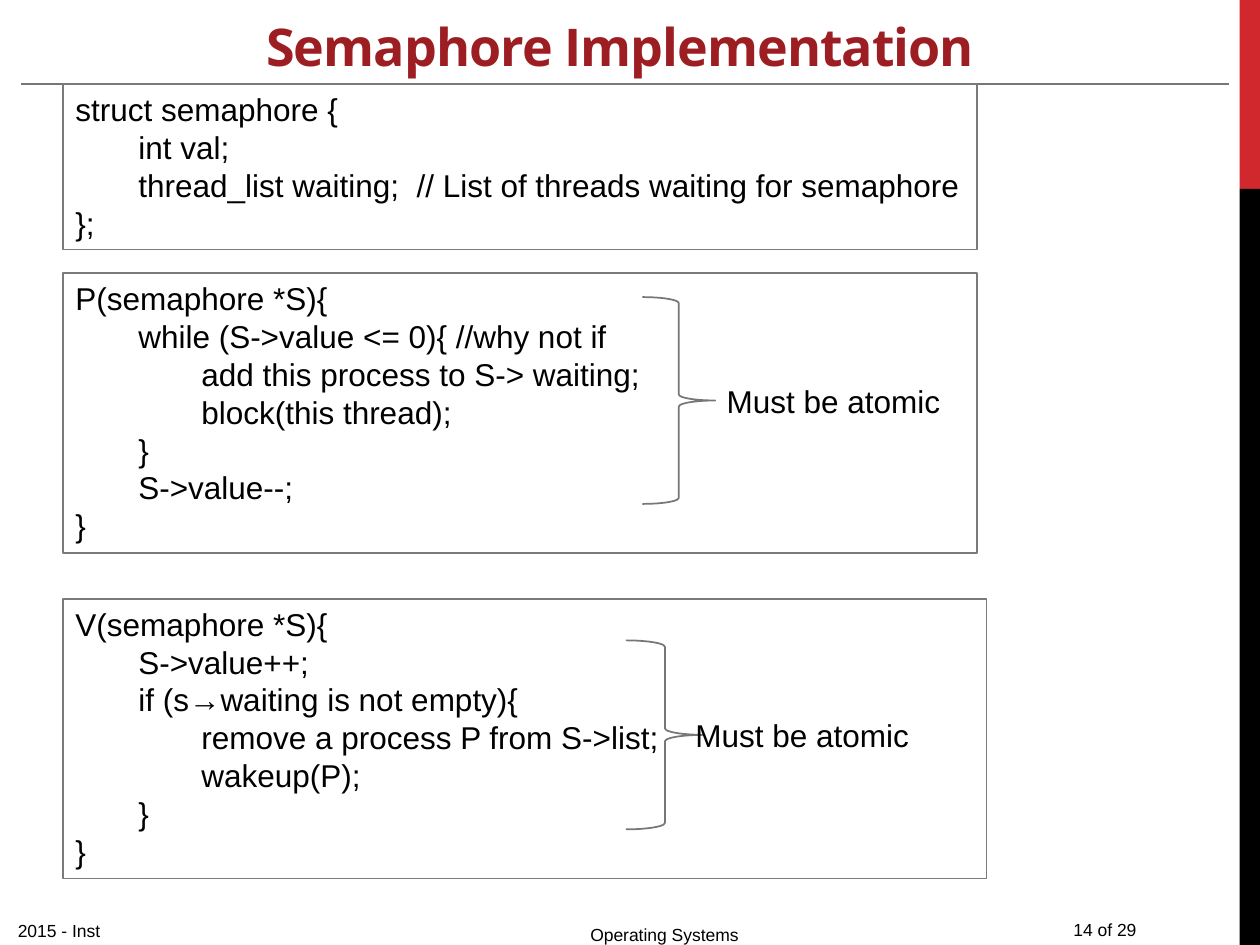
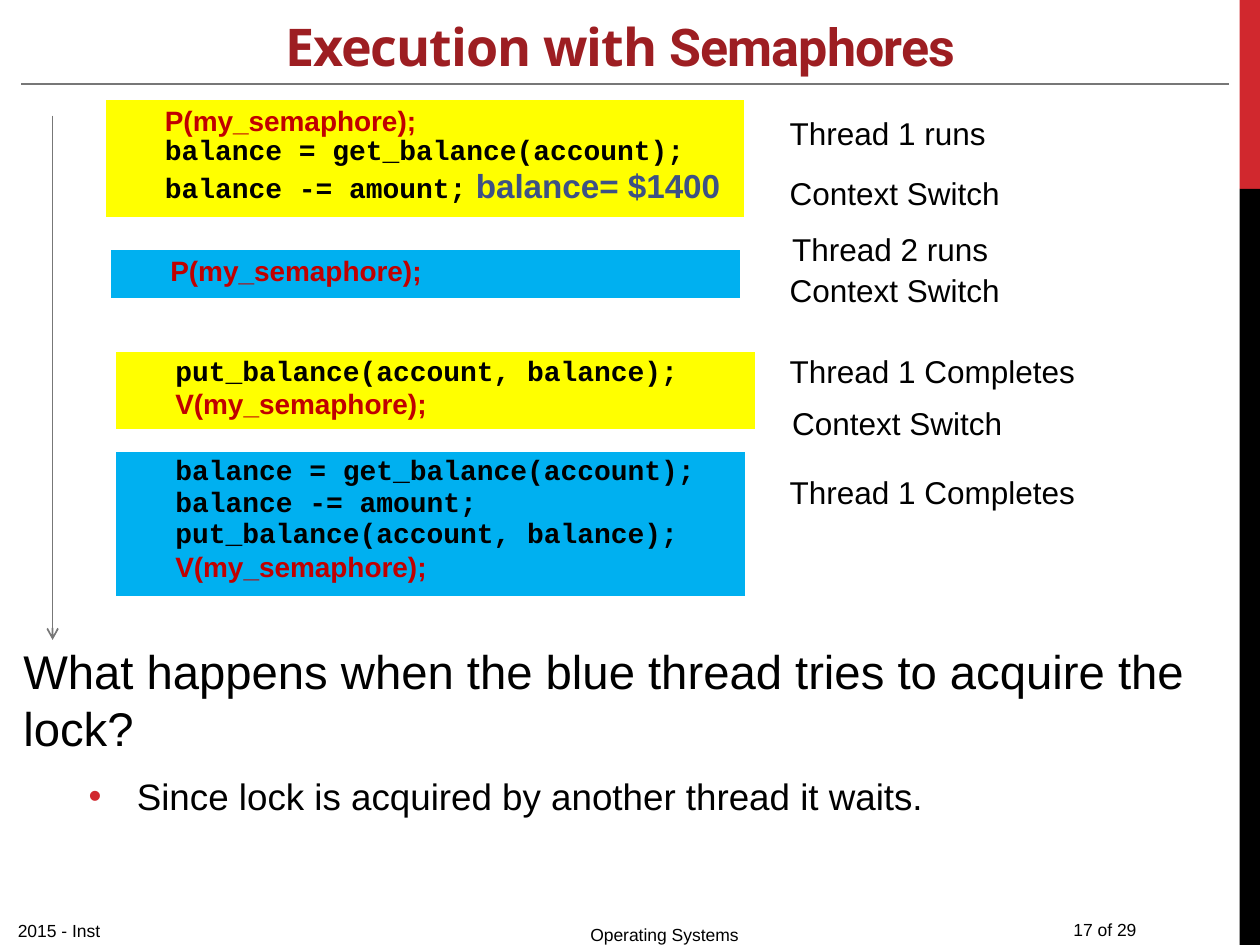
from lxml.etree import SubElement
from pptx import Presentation
from pptx.dml.color import RGBColor as Rgb
from pptx.enum.shapes import MSO_CONNECTOR as Link, MSO_SHAPE as Shape
from pptx.enum.text import MSO_ANCHOR as Anchor, PP_ALIGN as Align
from pptx.oxml import parse_xml
from pptx.oxml.ns import nsdecls, qn
from pptx.util import Cm, Pt

HUES = {"red": "D1282E", "black": "000000", "title": "9D1E22", "rule": "777777",
        "edge": "7A7A7A", "lock": "C00000", "sum": "3D5185", "white": "FFFFFF",
        "one": "FFFF00", "two": "00B0F0"}

# font, size, colour, bold
STYLES = {"title": ("Open Sans", 29.7, "title", True),
          "alt": ("Roboto", 29.7, "title", True),
          "foot": ("Arial", 10, "black", False),
          "plain": ("Arial", 18, "black", False),
          "ask": ("Arial", 27, "black", False),
          "reply": ("Arial", 21, "black", False),
          "lock": ("Arial", 16, "lock", True),
          "code": ("Courier New", 16, "black", True),
          "gap": ("Arial", 19, "white", False),
          "sum": ("Arial", 19, "sum", True)}

STEP = 1.27   # one level of code indent
ROW = 1.03    # least height of a thread's row, which grows with its text
PAGES = 29


def hue(name):
    return Rgb.from_string(HUES[name])


def fill(frame, paras):
    """Write paragraphs, each a list of (text, style) runs."""
    for i, runs in enumerate(paras):
        para = frame.paragraphs[0] if i == 0 else frame.add_paragraph()
        for words, style in runs:
            run = para.add_run()
            run.text = words
            font = run.font
            font.name, size, tone, font.bold = STYLES[style]
            font.size = Pt(size)
            font.color.rgb = hue(tone)
    return frame.paragraphs


def indent(para, left, first=0):
    props = para._p.get_or_add_pPr()
    props.set("marL", str(Cm(left)))
    props.set("indent", str(Cm(first)))
    return props


def text(slide, box, paras, anchor=Anchor.TOP):
    frame = slide.shapes.add_textbox(*map(Cm, box)).text_frame
    frame.word_wrap = True
    frame.vertical_anchor = anchor
    return fill(frame, paras)


def shape(slide, kind, box, tone=None, edge=None):
    item = slide.shapes.add_shape(kind, *map(Cm, box))
    item.shadow.inherit = False
    if tone:
        item.fill.solid()
        item.fill.fore_color.rgb = hue(tone)
    else:
        item.fill.background()
    if edge:
        item.line.color.rgb = hue(edge)
        item.line.width = Pt(1)
    else:
        item.line.fill.background()
    return item


def rule(slide, ends, arrow=False):
    line = slide.shapes.add_connector(Link.STRAIGHT, *map(Cm, ends))
    line.line.color.rgb = hue("rule")
    line.line.width = Pt(1)
    if arrow:
        SubElement(line.line._get_or_add_ln(), qn("a:tailEnd"), type="arrow")
    SubElement(line._element.spPr, qn("a:effectLst"))


def base(deck, title, page):
    """Add a slide with the side band, title, rule and footers."""
    slide = deck.slides.add_slide(deck.slide_layouts[6])
    shape(slide, Shape.RECTANGLE, (24.99, 0, 0.41, 3.81), "red")
    shape(slide, Shape.RECTANGLE, (24.99, 3.81, 0.41, 15.24), "black")
    rule(slide, (0.43, 1.7, 24.77, 1.7))
    head, = text(slide, (0.22, 0.41, 24.56, 1.27), [title], Anchor.BOTTOM)
    head.alignment = Align.CENTER
    for run in head.runs:
        run.font._element.set("spc", "-60")
    text(slide, (0.11, 18.42, 9.53, 0.64), [[("2015 - Inst", "foot")]])
    mid, = text(slide, (11.65, 18.42, 9.53, 0.64),
                [[("Operating Systems", "foot")]], Anchor.BOTTOM)
    mid._parent.margin_bottom = 0
    text(slide, (21.39, 18.42, 3.66, 0.64),
         [[(f"{page} of {PAGES}", "foot")]], Anchor.MIDDLE)
    return slide


def listing(slide, box, lines):
    """Draw a framed listing of (depth, text) lines."""
    frame = shape(slide, Shape.RECTANGLE, box, edge="edge").text_frame
    frame.word_wrap = True
    frame.vertical_anchor = Anchor.TOP
    paras = fill(frame, [[(words, "plain")] for _, words in lines])
    for para, (depth, _) in zip(paras, lines):
        para.alignment = Align.LEFT
        para.level = depth
        indent(para, depth * STEP)


def atomic(slide, box, brace, note):
    """Mark part of a listing; brace and note are offsets in its box."""
    left, top = box[:2]
    x, y, wide, high = brace
    shape(slide, Shape.RIGHT_BRACE, (left + x, top + y, wide, high), edge="rule")
    x, y = note
    text(slide, (left + x, top + y, 5.2, 1.03), [[("Must be atomic", "plain")]])


def block(slide, box, tone, paras):
    """Draw one thread's turn as a table of one cell."""
    grid = slide.shapes.add_table(1, 1, *map(Cm, box)).table
    grid.first_row = grid.horz_banding = False
    cell = grid.cell(0, 0)
    cell.fill.solid()
    cell.fill.fore_color.rgb = hue(tone)
    for para in fill(cell.text_frame, paras):
        indent(para, 0.95)
    props = cell._tc.get_or_add_tcPr()
    for i, (side, width) in enumerate(zip("LRTB", (1, 1, 1, 3))):
        props.insert(i, parse_xml(
            f'<a:ln{side} {nsdecls("a")} w="{Pt(width)}"><a:solidFill>'
            f'<a:srgbClr val="{HUES["white"]}"/></a:solidFill></a:ln{side}>'))


def quiz(slide, box):
    ask, reply = text(slide, box, [
        [("What happens when the blue thread tries to acquire the lock?", "ask")],
        [("Since lock is acquired by another thread it waits.", "reply")]])
    ask.space_after = Pt(6.3)
    reply.space_before = Pt(4.2)
    reply.level = 1
    props = indent(reply, 2.29, -0.97)
    tint = SubElement(props, qn("a:buClr"))
    SubElement(tint, qn("a:srgbClr"), val=HUES["red"])
    SubElement(props, qn("a:buFont"), typeface="Arial")
    SubElement(props, qn("a:buChar"), char="•")


def build(deck):
    slide = base(deck, [("Semaphore Implementation", "title")], 14)
    wait, wake = (1.27, 5.51, 18.42, 5.64), (1.27, 12.07, 18.62, 5.64)
    listing(slide, (1.27, 1.7, 18.42, 3.33), [
        (0, "struct semaphore {"),
        (1, "int val;"),
        (1, "thread_list waiting;  // List of threads waiting for semaphore"),
        (0, "};")])
    listing(slide, wait, [
        (0, "P(semaphore *S){"),
        (1, "while (S->value <= 0){ //why not if"),
        (2, "add this process to S-> waiting;"),
        (2, "block(this thread);"),
        (1, "}"),
        (1, "S->value--;"),
        (0, "}")])
    listing(slide, wake, [
        (0, "V(semaphore *S){"),
        (1, "S->value++;"),
        (1, "if (s→waiting is not empty){"),
        (2, "remove a process P from S->list;"),
        (2, "wakeup(P);"),
        (1, "}"),
        (0, "}")])
    atomic(slide, wait, (11.68, 0.48, 1.47, 4.17), (13.13, 2.06))
    atomic(slide, wake, (11.35, 0.84, 1.57, 3.81), (12.5, 2.24))


def trace(deck):
    slide = base(deck, [("Execution with ", "title"), ("Semaphores", "alt")], 17)
    take, free = [("P(my_semaphore);", "lock")], [("V(my_semaphore);", "lock")]
    read = [("balance = get_balance(account);", "code")]
    cut = [("balance -= amount;", "code")]
    save = [("put_balance(account, balance);", "code")]
    known = cut + [(" ", "gap"), ("balance= $1400", "sum")]
    for left, top, wide, tone, paras in (
            (2.12, 2.01, 12.9, "one", [take, read, known]),
            (2.23, 5.03, 12.7, "two", [take]),
            (2.33, 7.09, 12.9, "one", [save, free]),
            (2.33, 9.09, 12.7, "two", [read, cut, save, free])):
        block(slide, (left, top, wide, ROW), tone, paras)
    rule(slide, (1.06, 2.33, 1.06, 12.9), arrow=True)
    swap, done = "Context Switch", "Thread 1 Completes"
    for left, top, words in (
            (15.67, 2.18, "Thread 1 runs"), (15.67, 3.38, swap),
            (15.72, 4.52, "Thread 2 runs"), (15.67, 5.33, swap),
            (15.67, 6.98, done), (15.72, 8.03, swap), (15.67, 9.42, done)):
        text(slide, (left, top, 6.86, 1.03), [[(words, "plain")]])
    quiz(slide, (0.22, 12.82, 24.56, 4.5))


def main():
    deck = Presentation()
    deck.slide_width, deck.slide_height = Cm(25.4), Cm(19.05)
    build(deck)
    trace(deck)
    deck.save("out.pptx")


if __name__ == "__main__":
    main()
